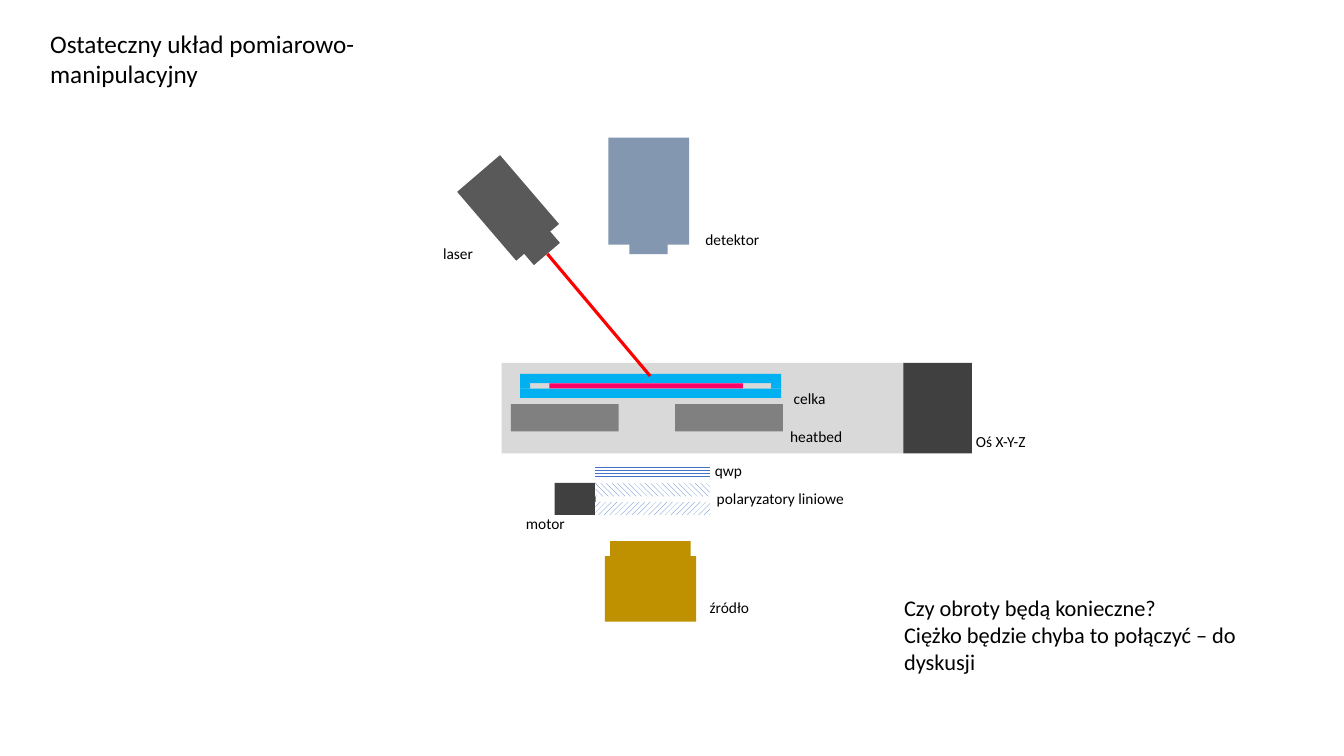
from lxml import etree
from pptx import Presentation
from pptx.dml.color import RGBColor
from pptx.enum import dml, shapes, text
from pptx.oxml.ns import qn
from pptx.util import Pt

FONT = "Calibri"
TITLE = "Ostateczny układ pomiarowo-manipulacyjny"
TITLE_BOX = (28.6, 16.6, 266.4, 51)
QUESTIONS = ["Czy obroty będą konieczne?",
             "Ciężko będzie chyba to połączyć – do dyskusji"]
QUESTIONS_BOX = (638.7, 420.7, 266.4, 65.5)
LABEL_HEIGHT = 20.6

# Name: (left, top, width, height, colour, rotation)
STAGE = {
    "stage": (358.4, 259.2, 288, 64.6, "D9D9D9", 0),
    "axis drive": (645.3, 259.2, 49, 64.6, "404040", 0),
    "heatbed left": (365, 288.6, 77, 19.6, "808080", 0),
    "heatbed right": (482.2, 288.6, 77, 19.6, "808080", 0),
}
DEVICES = {
    "detector": (434.6, 98.3, 57.6, 76.4, "8497B0", 0),
    "detector lens": (449.5, 160.6, 27.4, 20.9, "8497B0", 0),
    "source": (432, 397.3, 65.3, 46.8, "BF9000", 0),
    "source cap": (435.8, 386.6, 57.6, 46.8, "BF9000", 0),
    "motor": (396.2, 344.9, 29.3, 23, "404040", 0),
    "laser": (342.8, 116.1, 40.3, 64.8, "595959", 319.4),
    "laser nose": (374.5, 170.7, 24.5, 12.2, "595959", 319.4),
}
CELL = (371.5, 267, 186.5, 17.3)
CELL_WALL, CELL_SIDE = 6.7, 7.2
SAMPLE = (392.4, 273.8, 138.2, 3.6, "FF0066")

PLATES = {
    "qwp": dml.MSO_PATTERN.ZIG_ZAG,
    "polarizer 1": dml.MSO_PATTERN.WIDE_DOWNWARD_DIAGONAL,
    "polarizer 2": dml.MSO_PATTERN.WIDE_UPWARD_DIAGONAL,
}
PLATE_LEFT, PLATE_TOP, PLATE_WIDTH, PLATE_HEIGHT = 425.2, 331.9, 82.1, 9.4
PLATE_STEP = 13.3
BEAM = (391, 181.4, 464.4, 268.6)

LABELS = [  # text, left, top, width
    ("Oś X-Y-Z", 690, 305.3, 63.4),
    ("heatbed", 557.3, 301.7, 57.6),
    ("celka", 559.9, 274.3, 57.6),
    ("detektor", 496.8, 160.6, 57.6),
    ("źródło", 499.8, 423.4, 57.6),
    ("qwp", 503.5, 325.9, 57.6),
    ("polaryzatory liniowe", 504.9, 346, 110.9),
    ("motor", 368.6, 364, 57.6),
    ("laser", 309.4, 171, 57.6),
]


def colour(hex_string):
    return RGBColor.from_string(hex_string)


def add_block(left, top, width, height, fill, rotation=0):
    """Add a borderless rectangle; fill is a hex string or a pattern."""
    block = slide.shapes.add_shape(shapes.MSO_SHAPE.RECTANGLE,
                                   Pt(left), Pt(top), Pt(width), Pt(height))
    block.rotation = rotation
    block.shadow.inherit = False
    block.line.fill.background()
    if isinstance(fill, str):
        block.fill.solid()
        block.fill.fore_color.rgb = colour(fill)
    else:
        block.fill.patterned()
        block.fill.pattern = fill
        block.fill.fore_color.rgb = colour("4472C4")
        block.fill.back_color.rgb = colour("FFFFFF")


def write(box, lines, size):
    frame = box.text_frame
    frame.text = "\n".join(lines)
    frame.word_wrap = True
    frame.auto_size = text.MSO_AUTO_SIZE.NONE
    frame.vertical_anchor = text.MSO_ANCHOR.TOP
    for para in frame.paragraphs:
        para.alignment = text.PP_ALIGN.LEFT
        para.font.name = FONT
        para.font.size = Pt(size)
        para.font.color.rgb = colour("000000")


def add_text(lines, left, top, width, height, size):
    box = slide.shapes.add_textbox(Pt(left), Pt(top), Pt(width), Pt(height))
    write(box, lines, size)


def add_cell():
    """Frame the sample with two long walls and two short sides."""
    left, top, width, height = CELL
    for wall_top in (top, top + height - CELL_WALL):
        add_block(left, wall_top, width, CELL_WALL, "00B0F0")
    for side_left in (left, left + width - CELL_SIDE):
        add_block(side_left, top + CELL_WALL, CELL_SIDE,
                  height - 2 * CELL_WALL, "00B0F0")
    add_block(*SAMPLE)


def add_beam():
    beam = slide.shapes.add_connector(shapes.MSO_CONNECTOR.STRAIGHT,
                                      *[Pt(value) for value in BEAM])
    beam.line.color.rgb = colour("FF0000")
    beam.line.width = Pt(2.25)
    etree.SubElement(beam._element.spPr, qn("a:effectLst"))


deck = Presentation()
deck.slide_width, deck.slide_height = Pt(960), Pt(540)
slide = deck.slides.add_slide(deck.slide_layouts[5])

title = slide.shapes.title
title.left, title.top, title.width, title.height = map(Pt, TITLE_BOX)
write(title, [TITLE], 18)

for part in STAGE.values():
    add_block(*part)
add_cell()
for part in DEVICES.values():
    add_block(*part)
for row, pattern in enumerate(PLATES.values()):
    add_block(PLATE_LEFT, PLATE_TOP + row * PLATE_STEP,
              PLATE_WIDTH, PLATE_HEIGHT, pattern)
add_beam()
for label, left, top, width in LABELS:
    add_text([label], left, top, width, LABEL_HEIGHT, 11)
add_text(QUESTIONS, *QUESTIONS_BOX, 16)

deck.save("out.pptx")
